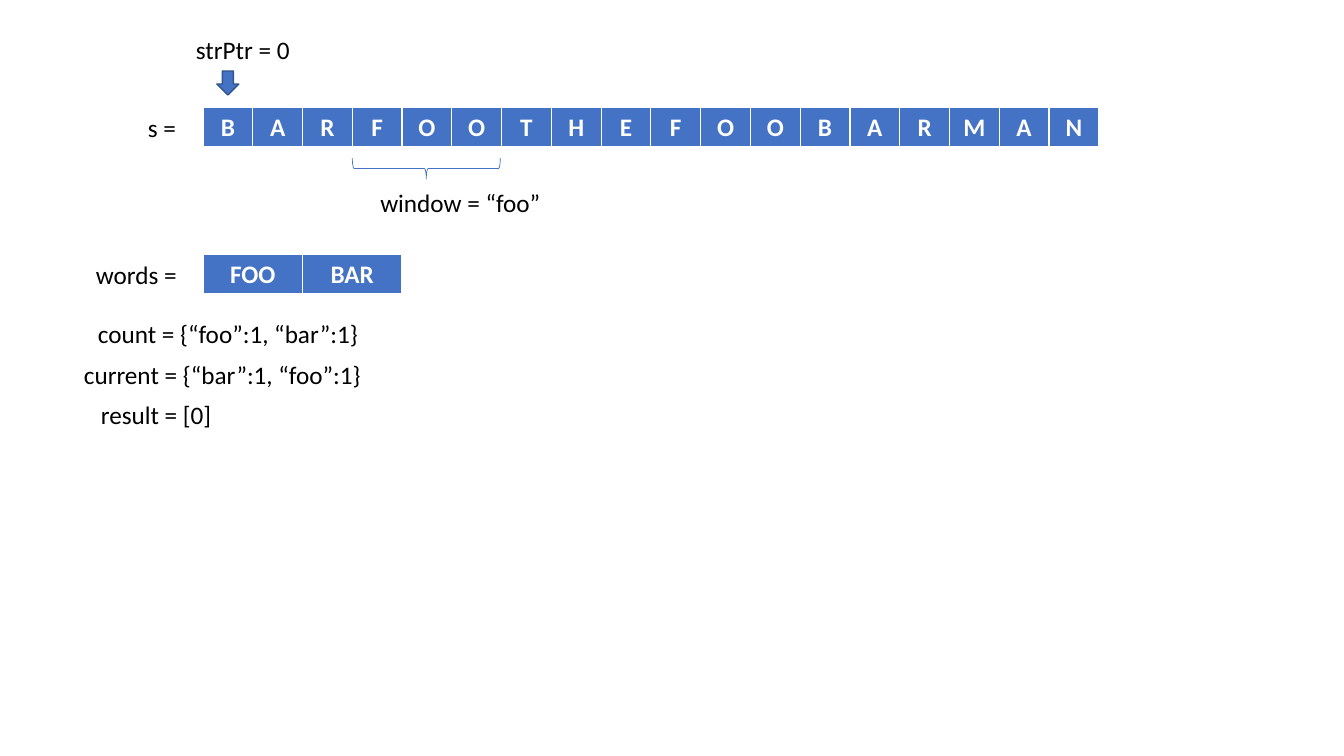
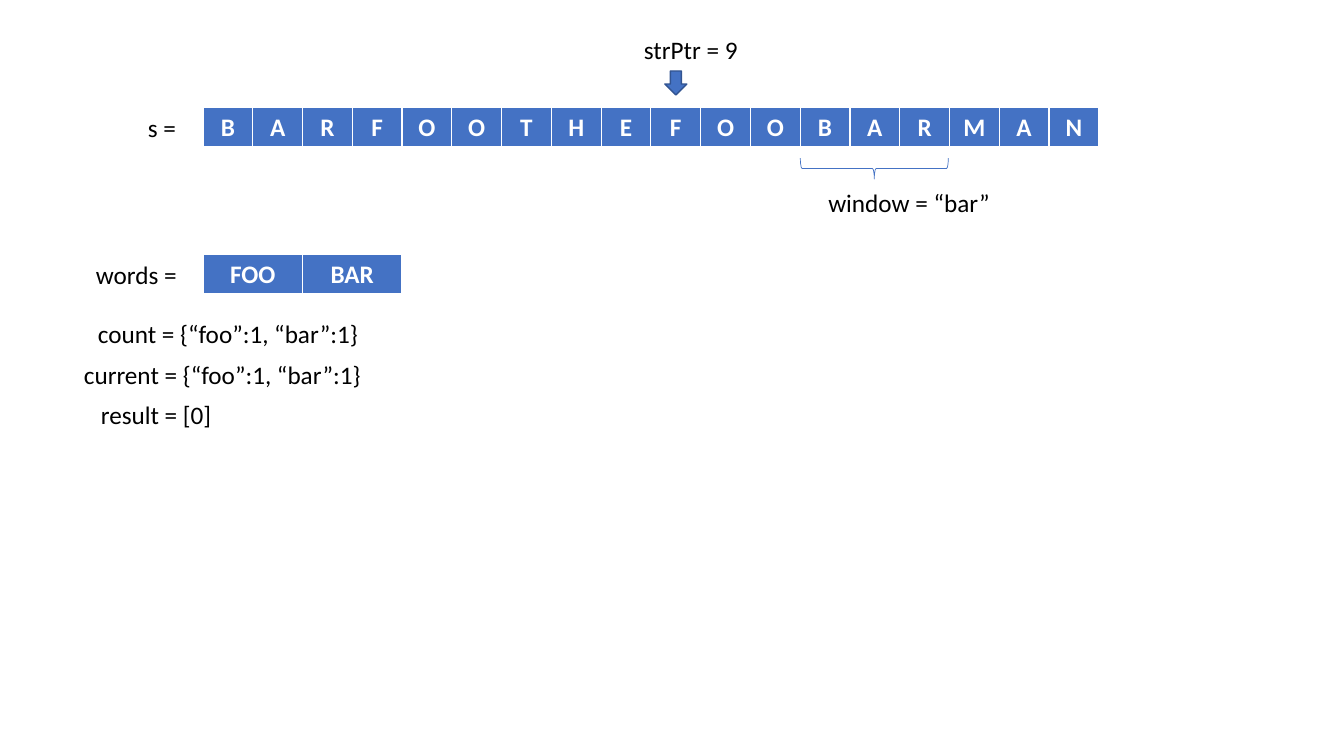
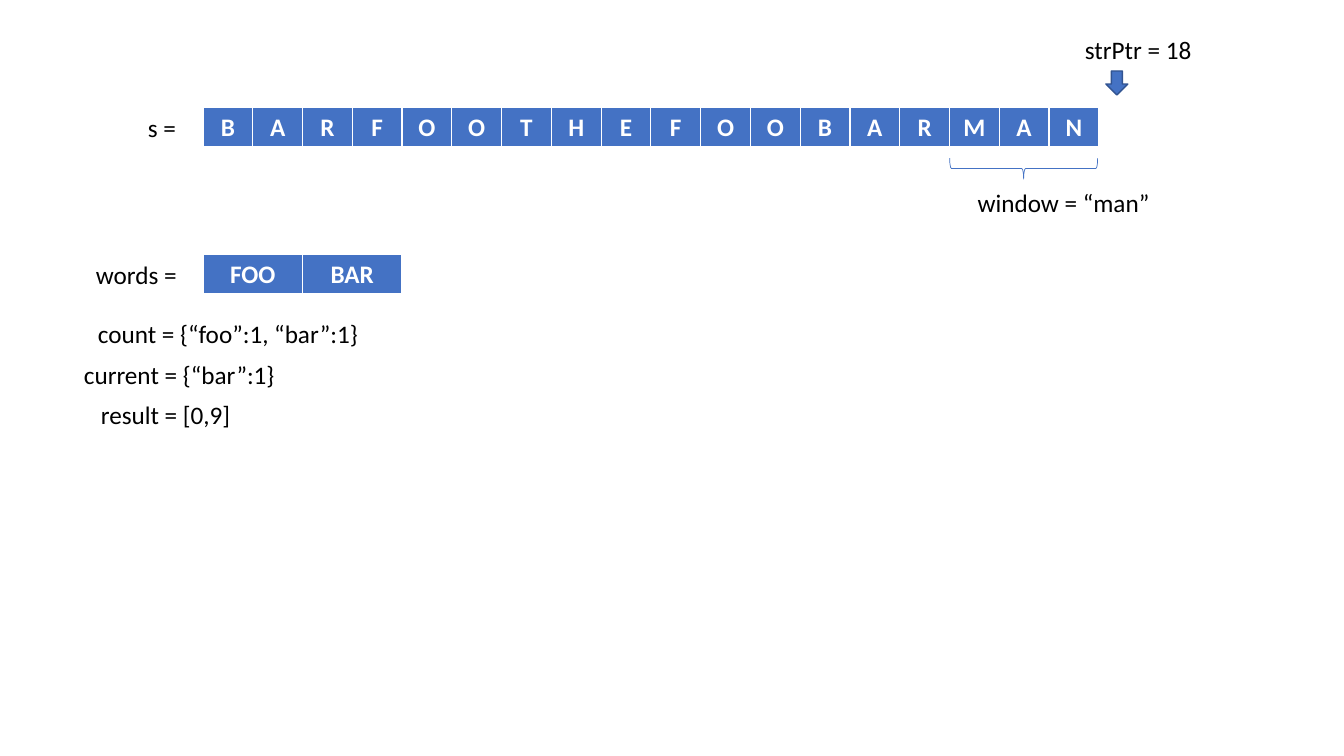
from dataclasses import dataclass

from lxml.etree import SubElement
from pptx import Presentation
from pptx.dml.color import RGBColor
from pptx.enum.shapes import MSO_SHAPE
from pptx.enum.text import MSO_AUTO_SIZE, PP_ALIGN
from pptx.oxml.ns import qn
from pptx.slide import Slide
from pptx.text.text import TextFrame
from pptx.util import Emu, Pt

# Shared look
COLOURS = {
    "cell": "4472C4",
    "cell_text": "FFFFFF",
    "cell_border": "FFFFFF",
    "text": "000000",
    "arrow_line": "325491",
    "brace": "4472C4",
}
FONT = "Calibri"
TEXT_SIZE = 18
EMU_PER_PX = 914400 / 100.8
CELL_BORDERS = {"lnL": 1, "lnR": 1, "lnT": 1, "lnB": 3}

# Searched string and word list
SEARCHED = "BARFOOTHEFOOBARMAN"
WORDS = ["FOO", "BAR"]
WORD_LENGTH = 3

# Grid of letters
GRID_LEFT = 203
GRID_WIDTH = 896
LETTER_WIDTH = GRID_WIDTH / len(SEARCHED)
ROW_HEIGHT = 41
LETTERS_TOP = 107
WORDS_TOP = 254
LINE_HEIGHT = 40


@dataclass(frozen=True)
class Label:
    text: str
    left: float
    top: int
    width: int
    height: int = LINE_HEIGHT


@dataclass(frozen=True)
class SearchStep:
    pointer: int
    window_start: int
    current: str
    result: str
    pointer_shift: int = 0


FIXED_LABELS = [
    Label("s =", 138, LETTERS_TOP, 53, ROW_HEIGHT),
    Label("words =", 86, WORDS_TOP, 115),
    Label("count = {“foo”:1, “bar”:1}", 88, 313, 327),
]

STEPS = [
    SearchStep(0, 3, "{“bar”:1, “foo”:1}", "[0]"),
    SearchStep(9, 12, "{“foo”:1, “bar”:1}", "[0]"),
    SearchStep(18, 15, "{“bar”:1}", "[0,9]", pointer_shift=-7),
]


def px(length: float) -> Emu:
    return Emu(round(length * EMU_PER_PX))


def colour(name: str) -> RGBColor:
    return RGBColor.from_string(COLOURS[name])


def letter_left(index: int) -> float:
    return GRID_LEFT + index * LETTER_WIDTH


def write(frame: TextFrame, text: str, colour_name: str, bold: bool = False) -> None:
    frame.text = text
    font = frame.paragraphs[0].runs[0].font
    font.name = FONT
    font.size = Pt(TEXT_SIZE)
    font.bold = bold
    font.color.rgb = colour(colour_name)


def add_label(slide: Slide, label: Label) -> None:
    box = slide.shapes.add_textbox(
        px(label.left), px(label.top), px(label.width), px(label.height))
    frame = box.text_frame
    write(frame, label.text, "text")
    frame.word_wrap = True
    frame.auto_size = MSO_AUTO_SIZE.SHAPE_TO_FIT_TEXT


def add_cells(slide: Slide, entries: list[str], top: int, cell_width: float) -> None:
    table = slide.shapes.add_table(
        1, len(entries), px(GRID_LEFT), px(top),
        px(cell_width * len(entries)), px(ROW_HEIGHT)).table
    for column, entry in enumerate(entries):
        table.columns[column].width = px(cell_width)
        cell = table.cell(0, column)
        write(cell.text_frame, entry, "cell_text", bold=True)
        cell.text_frame.paragraphs[0].alignment = PP_ALIGN.CENTER
        properties = cell._tc.get_or_add_tcPr()
        for tag, points in CELL_BORDERS.items():
            border = SubElement(properties, qn(f"a:{tag}"), w=str(Pt(points)))
            line_fill = SubElement(border, qn("a:solidFill"))
            SubElement(line_fill, qn("a:srgbClr"), val=COLOURS["cell_border"])
        cell.fill.solid()
        cell.fill.fore_color.rgb = colour("cell")


def add_window(slide: Slide, start: int) -> None:
    left, top, span, depth = letter_left(start), 158, 148, 21
    # The brace is rotated about its centre to open upwards
    brace = slide.shapes.add_shape(
        MSO_SHAPE.LEFT_BRACE,
        px(left + (span - depth) / 2), px(top - (span - depth) / 2),
        px(depth), px(span))
    brace.rotation = 270
    brace.shadow.inherit = False
    brace.fill.background()
    brace.line.color.rgb = colour("brace")
    brace.line.width = Pt(0.5)
    word = SEARCHED[start:start + WORD_LENGTH].lower()
    add_label(slide, Label(f"window = “{word}”", left + 18, 182, 233))


def add_pointer(slide: Slide, index: int, shift: int) -> None:
    width = 22
    left = letter_left(index) + (LETTER_WIDTH - width) / 2 + shift
    arrow = slide.shapes.add_shape(
        MSO_SHAPE.DOWN_ARROW, px(left), px(71), px(width), px(24))
    arrow.shadow.inherit = False
    arrow.fill.solid()
    arrow.fill.fore_color.rgb = colour("cell")
    arrow.line.color.rgb = colour("arrow_line")
    arrow.line.width = Pt(1)
    add_label(slide, Label(f"strPtr = {index}", left - 31, 29, 131))


def add_step(slide: Slide, step: SearchStep) -> None:
    # String, words and counts
    add_cells(slide, list(SEARCHED), LETTERS_TOP, LETTER_WIDTH)
    add_cells(slide, WORDS, WORDS_TOP, 2 * LETTER_WIDTH)
    for label in FIXED_LABELS:
        add_label(slide, label)
    # State of the search
    add_label(slide, Label(f"current = {step.current}", 74, 354, 327))
    add_window(slide, step.window_start)
    add_pointer(slide, step.pointer, step.pointer_shift)
    add_label(slide, Label(f"result = {step.result}", 91, 394, 327))


presentation = Presentation()
presentation.slide_width = px(1344)
presentation.slide_height = px(756)
blank_layout = presentation.slide_layouts[6]
for search_step in STEPS:
    add_step(presentation.slides.add_slide(blank_layout), search_step)
presentation.save("out.pptx")
